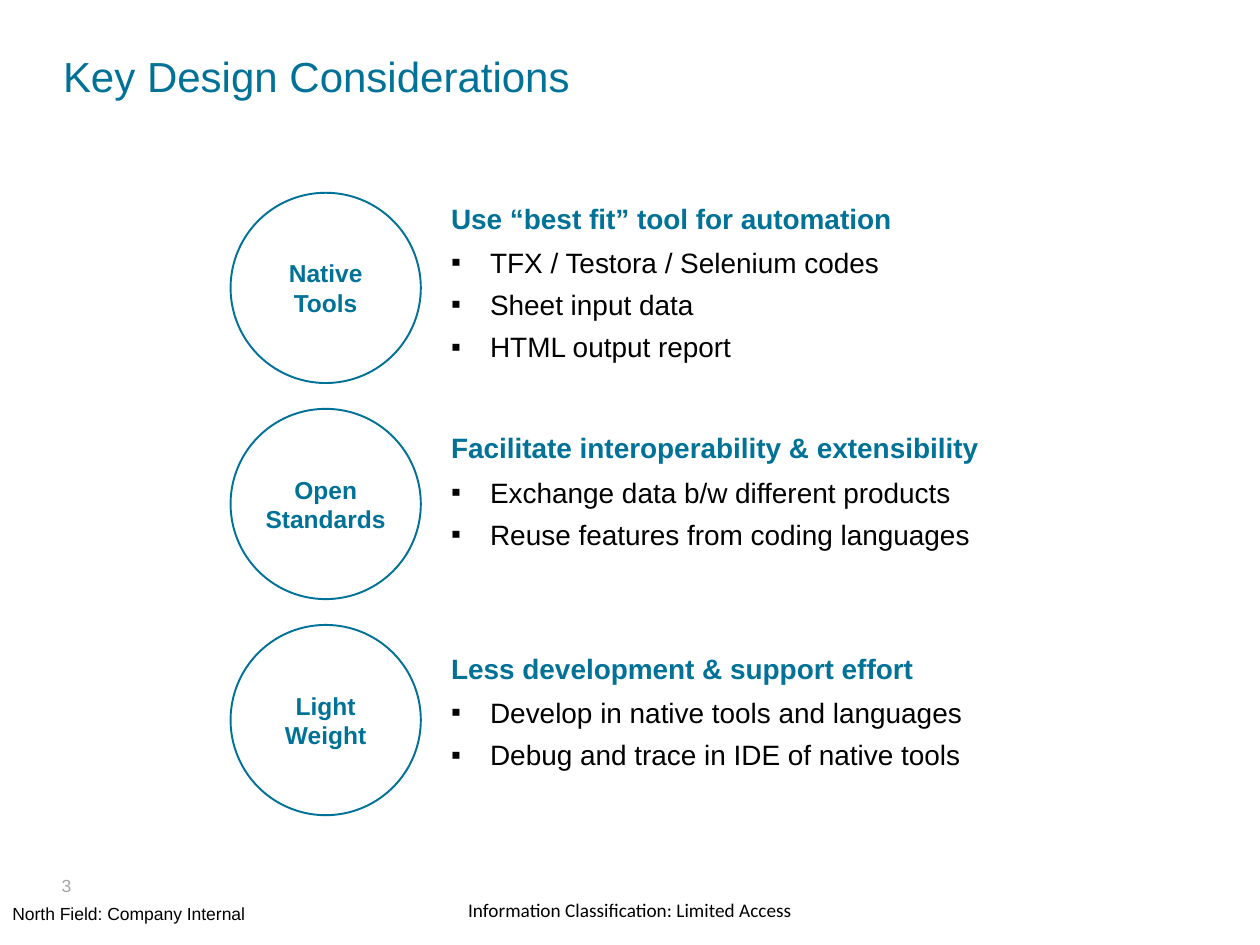
from dataclasses import dataclass

import pptx
import pptx.dml.color
import pptx.enum.shapes
import pptx.enum.text
import pptx.oxml.ns
import pptx.util
from lxml import etree
from pptx.enum.text import MSO_ANCHOR, PP_ALIGN
from pptx.util import Inches


@dataclass(frozen=True)
class Theme:
    accent: str = "007298"
    text: str = "000000"
    muted: str = "A5A5A5"
    background: str = "FFFFFF"
    font: str = "Arial"
    footer_font: str = "Calibri"
    title_size: int = 24
    body_size: int = 16
    circle_size: int = 14
    classification_size: int = 11
    footer_size: int = 10


@dataclass(frozen=True)
class Consideration:
    label: str
    heading: str
    points: tuple[str, ...]
    placeholder_index: int
    text_top: float
    anchor: MSO_ANCHOR = MSO_ANCHOR.TOP


@dataclass(frozen=True)
class Footer:
    text: str
    box: tuple[float, float, float, float]
    size: int
    font: str
    color: str
    alignment: PP_ALIGN = PP_ALIGN.LEFT
    anchor: MSO_ANCHOR = MSO_ANCHOR.TOP
    margins: tuple[float, float, float, float] = (0.1, 0.05, 0.1, 0.05)


THEME = Theme()
CIRCLE_LEFT, CIRCLE_TOP, CIRCLE_DIAMETER, CIRCLE_PITCH = 1.83, 1.53, 1.51, 1.715
LIST_LEFT, LIST_WIDTH, LIST_HEIGHT = 3.58, 4.33, 1.14
BULLET_INDENT = 0.31

CONSIDERATIONS = (
    Consideration(
        "Native Tools",
        "Use “best fit” tool for automation",
        ("TFX / Testora / Selenium codes", "Sheet input data", "HTML output report"),
        1, 1.67, MSO_ANCHOR.MIDDLE,
    ),
    Consideration(
        "Open Standards",
        "Facilitate interoperability & extensibility",
        ("Exchange data b/w different products", "Reuse features from coding languages"),
        2, 3.42,
    ),
    Consideration(
        "Light Weight",
        "Less development & support effort",
        ("Develop in native tools and languages", "Debug and trace in IDE of native tools"),
        3, 5.17,
    ),
)

FOOTERS = (
    Footer("Information Classification: Limited Access", (0, 7.08, 10, 0.29),
           THEME.classification_size, THEME.footer_font, THEME.text, PP_ALIGN.CENTER),
    Footer("North Field: Company Internal", (0, 7.12, 10, 0.27),
           THEME.footer_size, THEME.font, THEME.text),
    Footer("3", (0.49, 6.89, 0.5, 0.27), THEME.footer_size, THEME.font, THEME.muted,
           anchor=MSO_ANCHOR.MIDDLE, margins=(0, 0, 0, 0)),
)


def rgb(color: str) -> pptx.dml.color.RGBColor:
    return pptx.dml.color.RGBColor.from_string(color)


def place(shape, left: float, top: float, width: float, height: float) -> None:
    shape.left, shape.top = Inches(left), Inches(top)
    shape.width, shape.height = Inches(width), Inches(height)


def format_frame(frame, anchor: MSO_ANCHOR, margins=(0, 0, 0, 0)) -> None:
    frame.word_wrap = True
    frame.auto_size = pptx.enum.text.MSO_AUTO_SIZE.NONE
    frame.vertical_anchor = anchor
    frame.margin_left, frame.margin_top, frame.margin_right, frame.margin_bottom = map(
        Inches, margins)


def format_paragraph(paragraph, size: int, color: str, bold: bool = False,
                     alignment: PP_ALIGN = PP_ALIGN.LEFT, font: str = THEME.font) -> None:
    paragraph.alignment = alignment
    paragraph.font.name = font
    paragraph.font.size = pptx.util.Pt(size)
    paragraph.font.bold = bold
    paragraph.font.color.rgb = rgb(color)


def set_bullet(paragraph, character: str | None) -> None:
    properties = paragraph._p.get_or_add_pPr()
    indent = Inches(BULLET_INDENT) if character else 0
    properties.set("marL", str(indent))
    properties.set("indent", str(-indent))
    tag = "a:buChar" if character else "a:buNone"
    bullet = etree.SubElement(properties, pptx.oxml.ns.qn(tag))
    if character:
        bullet.set("char", character)


def add_title(slide, text: str) -> None:
    title = slide.shapes.title
    place(title, 0.5, 0.42, 9, 0.33)
    format_frame(title.text_frame, MSO_ANCHOR.TOP, (0, 0.05, 0, 0))
    title.text_frame.text = text
    paragraph = title.text_frame.paragraphs[0]
    paragraph.line_spacing = pptx.util.Pt(24)
    format_paragraph(paragraph, THEME.title_size, THEME.accent)


def add_circle(slide, label: str, top: float) -> None:
    circle = slide.shapes.add_shape(
        pptx.enum.shapes.MSO_SHAPE.OVAL, Inches(CIRCLE_LEFT), Inches(top),
        Inches(CIRCLE_DIAMETER), Inches(CIRCLE_DIAMETER))
    circle.shadow.inherit = False
    circle.fill.solid()
    circle.fill.fore_color.rgb = rgb(THEME.background)
    circle.line.color.rgb = rgb(THEME.accent)
    circle.line.width = pptx.util.Pt(1.1)
    format_frame(circle.text_frame, MSO_ANCHOR.MIDDLE)
    circle.text_frame.text = label
    format_paragraph(circle.text_frame.paragraphs[0], THEME.circle_size, THEME.accent,
                     bold=True, alignment=PP_ALIGN.CENTER)


def add_list(slide, consideration: Consideration) -> None:
    body = slide.placeholders[consideration.placeholder_index]
    place(body, LIST_LEFT, consideration.text_top, LIST_WIDTH, LIST_HEIGHT)
    frame = body.text_frame
    format_frame(frame, consideration.anchor)
    frame.text = "\n".join((consideration.heading, *consideration.points))
    for index, paragraph in enumerate(frame.paragraphs):
        heading = index == 0
        set_bullet(paragraph, None if heading else "▪")
        paragraph.space_before = pptx.util.Pt(0)
        paragraph.space_after = pptx.util.Pt(6 if heading else 5)
        format_paragraph(paragraph, THEME.body_size,
                         THEME.accent if heading else THEME.text, bold=heading)


def add_footer(slide, footer: Footer) -> None:
    box = slide.shapes.add_textbox(*map(Inches, footer.box))
    format_frame(box.text_frame, footer.anchor, footer.margins)
    box.text_frame.text = footer.text
    format_paragraph(box.text_frame.paragraphs[0], footer.size, footer.color,
                     alignment=footer.alignment, font=footer.font)


def main() -> None:
    presentation = pptx.Presentation()
    presentation.slide_width, presentation.slide_height = Inches(10), Inches(7.5)
    slide = presentation.slides.add_slide(
        presentation.slide_layouts.get_by_name("Comparison"))
    for footer in FOOTERS:
        add_footer(slide, footer)
    add_title(slide, "Key Design Considerations")
    for row, consideration in enumerate(CONSIDERATIONS):
        add_circle(slide, consideration.label, CIRCLE_TOP + row * CIRCLE_PITCH)
        add_list(slide, consideration)
    for placeholder in list(slide.placeholders):
        if not placeholder.text_frame.text:
            placeholder.element.getparent().remove(placeholder.element)
    presentation.save("out.pptx")


main()
